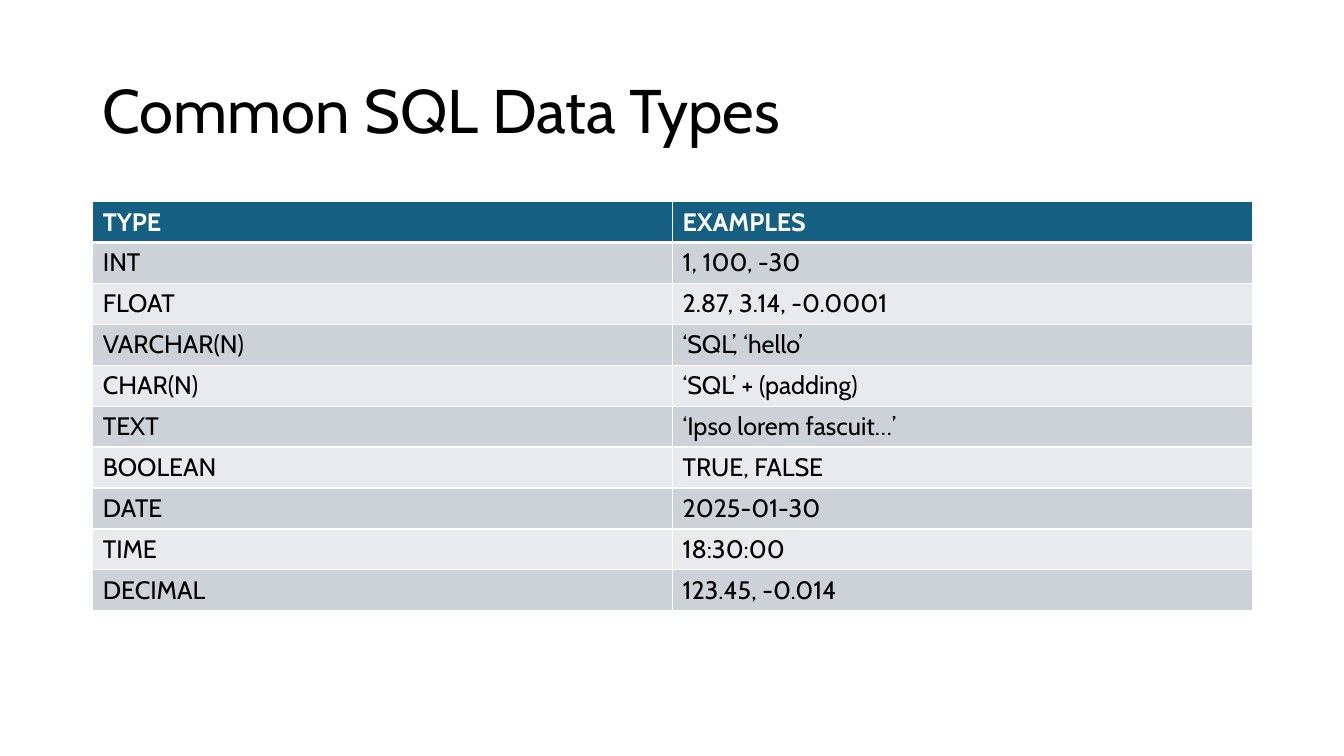
from dataclasses import dataclass

from lxml import etree
from pptx import Presentation
from pptx.dml.color import RGBColor
from pptx.enum.text import MSO_ANCHOR, MSO_AUTO_SIZE, PP_ALIGN
from pptx.oxml.ns import qn
from pptx.util import Inches, Pt

LEFT = PP_ALIGN.LEFT
MIDDLE = MSO_ANCHOR.MIDDLE
TOP = MSO_ANCHOR.TOP
NO_AUTOFIT = MSO_AUTO_SIZE.NONE
TITLE_ONLY_LAYOUT = 5


@dataclass(frozen=True)
class Theme:
    font: str = "Cabin"
    title_size: int = 44
    table_size: int = 18
    ink: str = "000000"
    paper: str = "FFFFFF"
    header: str = "156082"
    bands: tuple = ("CCD2D8", "E8EAED")
    thin_rule: int = 1
    thick_rule: int = 3


THEME = Theme()

DATA_TYPES = [
    ("TYPE", "EXAMPLES"),
    ("INT", "1, 100, -30"),
    ("FLOAT", "2.87, 3.14, -0.0001"),
    ("VARCHAR(N)", "‘SQL’, ‘hello’"),
    ("CHAR(N)", "‘SQL’ + (padding)"),
    ("TEXT", "‘Ipso lorem fascuit…’"),
    ("BOOLEAN", "TRUE, FALSE"),
    ("DATE", "2025-01-30"),
    ("TIME", "18:30:00"),
    ("DECIMAL", "123.45, -0.014"),
]


def write_text(frame, text, *, size, color, bold=False, anchor=TOP, line_spacing=1.0):
    """Fill a text frame with one formatted, left-aligned paragraph."""
    frame.word_wrap = True
    frame.vertical_anchor = anchor
    para = frame.paragraphs[0]
    para.alignment = LEFT
    para.line_spacing = line_spacing
    span = para.add_run()
    span.text = text
    span.font.name = THEME.font
    span.font.size = Pt(size)
    span.font.bold = bold
    span.font.color.rgb = RGBColor.from_string(color)


def add_title(page, text):
    title = page.shapes.title
    title.left, title.top = Inches(0.92), Inches(0.4)
    title.width, title.height = Inches(11.5), Inches(1.45)
    title.text_frame.auto_size = NO_AUTOFIT
    write_text(title.text_frame, text, size=THEME.title_size, color=THEME.ink,
               anchor=MIDDLE, line_spacing=0.9)


def set_borders(cell, *, top, bottom):
    """Draw the four cell rules; the side rules are thin."""
    properties = cell._tc.get_or_add_tcPr()
    widths = {"L": THEME.thin_rule, "R": THEME.thin_rule, "T": top, "B": bottom}
    for side, width in widths.items():
        rule = etree.SubElement(properties, qn(f"a:ln{side}"), w=str(Pt(width)))
        fill = etree.SubElement(rule, qn("a:solidFill"))
        etree.SubElement(fill, qn("a:srgbClr"), val=THEME.paper)


def format_cell(cell, text, row_index):
    is_header = row_index == 0
    # The thick rule lies between the header and the first body row
    set_borders(cell,
                top=THEME.thick_rule if row_index == 1 else THEME.thin_rule,
                bottom=THEME.thick_rule if is_header else THEME.thin_rule)
    band = THEME.header if is_header else THEME.bands[(row_index - 1) % 2]
    cell.fill.solid()
    cell.fill.fore_color.rgb = RGBColor.from_string(band)
    write_text(cell.text_frame, text, size=THEME.table_size, bold=is_header,
               color=THEME.paper if is_header else THEME.ink)


def add_type_table(page, rows):
    frame = page.shapes.add_table(len(rows), len(rows[0]), Inches(0.92), Inches(2),
                                  Inches(11.5), Inches(4.06))
    for row_index, texts in enumerate(rows):
        for column_index, text in enumerate(texts):
            format_cell(frame.table.cell(row_index, column_index), text, row_index)


def main():
    deck = Presentation()
    deck.slide_width, deck.slide_height = Inches(13.33), Inches(7.5)
    page = deck.slides.add_slide(deck.slide_layouts[TITLE_ONLY_LAYOUT])

    # Heading
    add_title(page, "Common SQL Data Types")

    # Data types with sample values
    add_type_table(page, DATA_TYPES)

    deck.save("out.pptx")


if __name__ == "__main__":
    main()
